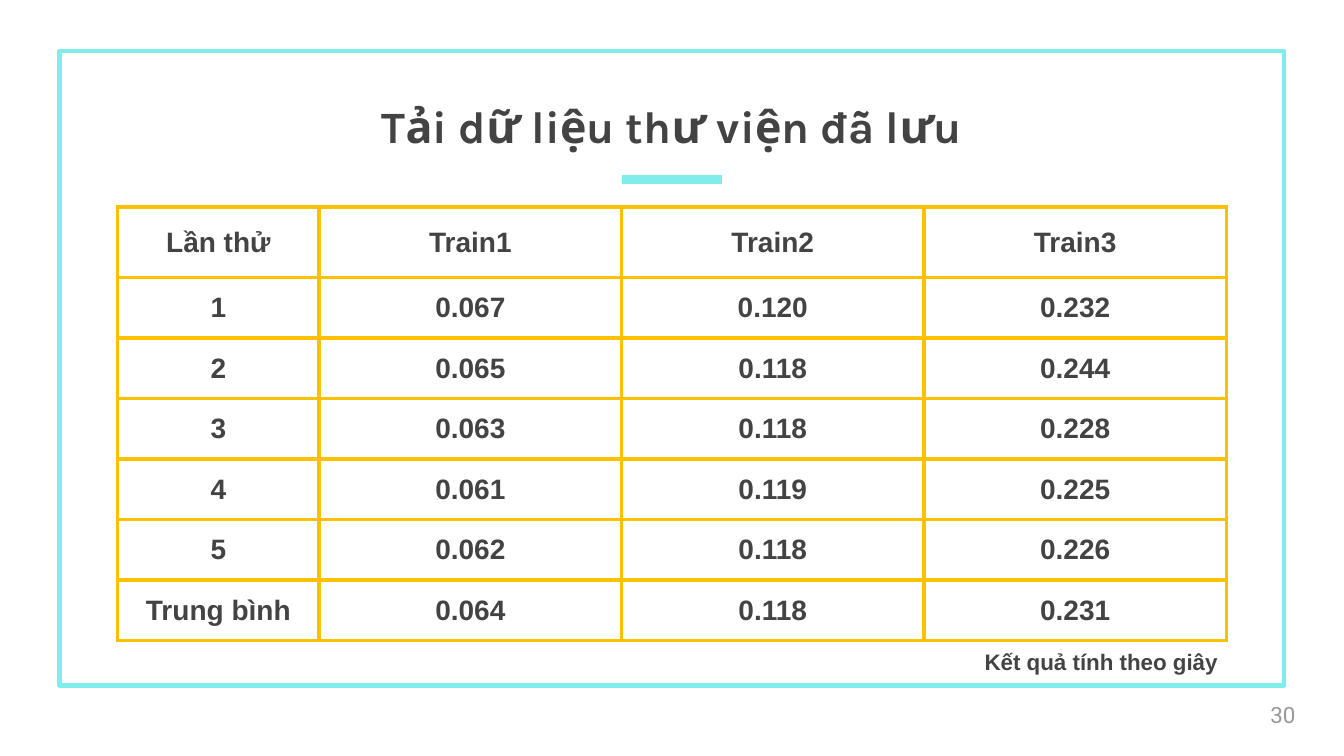
from lxml import etree
from pptx import Presentation
from pptx import util as u
from pptx.dml.color import RGBColor
from pptx.enum import shapes, text
from pptx.oxml import ns

COLORS = {
    "aqua": "81ECEC",
    "gold": "FFC000",
    "ink": "434343",
    "grey": "999999",
    "white": "FFFFFF",
}


class SlideBuilder:
    def __init__(self, slide, body_font="Arial"):
        self.slide = slide
        self.body_font = body_font

    def color(self, name):
        return RGBColor.from_string(COLORS[name])

    def box(self, *lengths):
        return [u.Pt(length) for length in lengths]

    def style(self, paragraph, size, font=None, color="ink", bold=True, align=text.PP_ALIGN.LEFT):
        paragraph.alignment = align
        paragraph.font.size = u.Pt(size)
        paragraph.font.name = font or self.body_font
        paragraph.font.bold = bold
        paragraph.font.color.rgb = self.color(color)

    def frame(self, bounds, color, width):
        border = self.slide.shapes.add_shape(shapes.MSO_SHAPE.RECTANGLE, *self.box(*bounds))
        border.shadow.inherit = False
        border.fill.background()
        border.line.color.rgb = self.color(color)
        border.line.width = u.Pt(width)

    def rule(self, start, end, color, width):
        line = self.slide.shapes.add_connector(
            shapes.MSO_CONNECTOR.STRAIGHT, *self.box(*start, *end))
        line.line.color.rgb = self.color(color)
        line.line.width = u.Pt(width)
        etree.SubElement(line._element.spPr, ns.qn("a:effectLst"))

    def label(self, words, bounds, size, anchor=text.MSO_ANCHOR.TOP, inset=None, **style):
        frame = self.slide.shapes.add_textbox(*self.box(*bounds)).text_frame
        frame.word_wrap = True
        frame.vertical_anchor = anchor
        if inset is not None:
            frame.margin_left = frame.margin_right = u.Pt(inset)
            frame.margin_top = frame.margin_bottom = u.Pt(inset)
        frame.text = words
        self.style(frame.paragraphs[0], size, **style)

    def cell_borders(self, cell, color, width):
        properties = cell._tc.get_or_add_tcPr()
        for index, side in enumerate(("lnL", "lnR", "lnT", "lnB")):
            edge = etree.Element(ns.qn(f"a:{side}"), w=str(u.Pt(width)))
            fill = etree.SubElement(edge, ns.qn("a:solidFill"))
            etree.SubElement(fill, ns.qn("a:srgbClr"), val=COLORS[color])
            properties.insert(index, edge)

    def table(self, rows, corner, widths, heights, size):
        bounds = self.box(*corner, sum(widths), sum(heights))
        grid = self.slide.shapes.add_table(len(rows), len(widths), *bounds).table
        for column, width in zip(grid.columns, widths):
            column.width = u.Pt(width)
        for row, height, values in zip(grid.rows, heights, rows):
            row.height = u.Pt(height)
            for cell, value in zip(row.cells, values):
                cell.text = value
                cell.vertical_anchor = text.MSO_ANCHOR.MIDDLE
                cell.fill.solid()
                cell.fill.fore_color.rgb = self.color("white")
                self.style(cell.text_frame.paragraphs[0], size, align=text.PP_ALIGN.CENTER)
                self.cell_borders(cell, "gold", 3)


def main():
    deck = Presentation()
    deck.slide_width, deck.slide_height = u.Pt(960), u.Pt(540)
    page = SlideBuilder(deck.slides.add_slide(deck.slide_layouts[6]))

    page.frame((42.5, 36.7, 874.8, 452.9), "aqua", 3)
    page.rule((444.2, 128.2), (515.5, 128.2), "aqua", 6)
    page.label("Tải dữ liệu thư viện đã lưu", (0, 23, 960, 95.8), 32,
               anchor=text.MSO_ANCHOR.BOTTOM, inset=9.6, font="Karla",
               align=text.PP_ALIGN.CENTER)
    page.label("30", (897.8, 489.6, 57.6, 41), 16, anchor=text.MSO_ANCHOR.MIDDLE,
               inset=9.6, font="Roboto", color="grey", bold=False)

    timings = [
        ("Lần thử", "Train1", "Train2", "Train3"),
        ("1", "0.067", "0.120", "0.232"),
        ("2", "0.065", "0.118", "0.244"),
        ("3", "0.063", "0.118", "0.228"),
        ("4", "0.061", "0.119", "0.225"),
        ("5", "0.062", "0.118", "0.226"),
        ("Trung bình", "0.064", "0.118", "0.231"),
    ]
    page.table(timings, (84, 147.9), [144] + [216] * 3, [50.4] + [43.2] * 6, 20)
    page.label("Kết quả tính theo giây", (696.2, 459.4, 200.9, 26.6), 16)

    deck.save("out.pptx")


if __name__ == "__main__":
    main()
